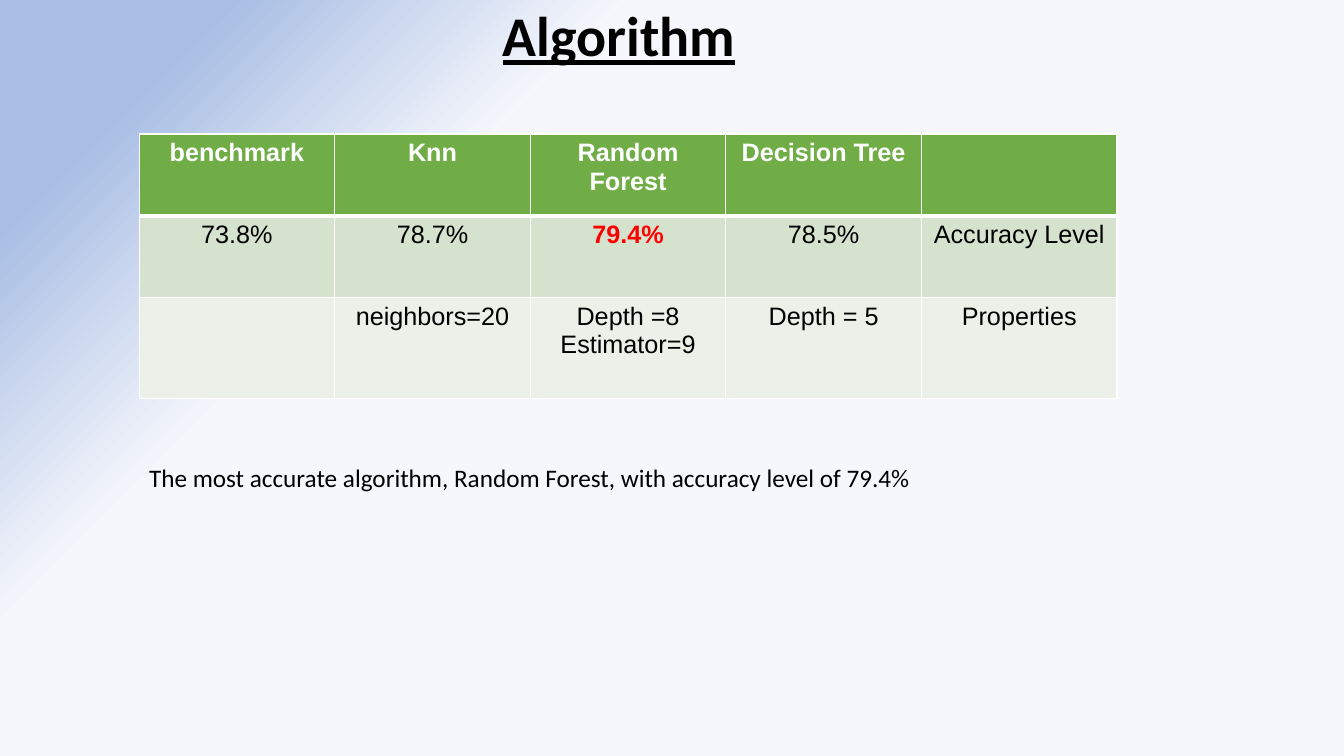
from lxml import etree
from pptx import Presentation
from pptx.dml.color import RGBColor
from pptx.enum.text import MSO_ANCHOR, PP_ALIGN
from pptx.oxml import parse_xml
from pptx.oxml.ns import nsdecls, qn
from pptx.util import Inches, Pt

COLORS = {
    "black": "000000",
    "white": "FFFFFF",
    "best": "FF0000",
    "header": "70AD47",
    "band": "D4E2CE",
    "light": "EBF1E8",
    "mist": "F5F7FC",
    "sky": "A9BEE4",
}
ROWS = [
    ["benchmark", "Knn", "Random Forest", "Decision Tree", ""],
    ["73.8%", "78.7%", "79.4%", "78.5%", "Accuracy Level"],
    ["", "neighbors=20", "Depth =8\nEstimator=9", "Depth = 5", "Properties"],
]
ROW_FILLS = ["header", "band", "light"]
ROW_HEIGHTS = [0.81, 0.81, 1.0]
COLUMN_WIDTH = 1.94
BEST_SCORE = "79.4%"


def rgb(name):
    return RGBColor.from_string(COLORS[name])


def style_font(font, face, size, color, bold=False):
    font.name = face
    font.size = Pt(size)
    font.bold = bold
    font.color.rgb = rgb(color)


def set_background(page):
    """Fill the page with a round gradient centred on the bottom right corner."""
    page.background.fill.gradient()
    old_fill = page.element.find(".//" + qn("a:gradFill"))
    stops = [(0, "mist", 100), (70, "mist", 100), (89, "sky", 100), (100, "sky", 38)]
    stop_xml = "".join(
        f'<a:gs pos="{position * 1000}"><a:srgbClr val="{COLORS[color]}">'
        f'<a:alpha val="{opacity * 1000}"/></a:srgbClr></a:gs>'
        for position, color, opacity in stops
    )
    new_fill = parse_xml(
        f'<a:gradFill {nsdecls("a")} rotWithShape="1"><a:gsLst>{stop_xml}</a:gsLst>'
        '<a:path path="circle"><a:fillToRect l="100000" t="100000"/></a:path>'
        "</a:gradFill>"
    )
    old_fill.getparent().replace(old_fill, new_fill)


def add_title(page, text):
    title = page.shapes.title
    title.left, title.top = Inches(3.1), Inches(-0.04)
    title.width, title.height = Inches(6.08), Inches(0.77)
    title.text_frame.text = text
    title.text_frame.vertical_anchor = MSO_ANCHOR.TOP
    para = title.text_frame.paragraphs[0]
    para.alignment = PP_ALIGN.CENTER
    style_font(para.font, "Calibri", 40, "black", bold=True)
    para.font.underline = True


def set_borders(cell, bottom_width):
    properties = cell._tc.get_or_add_tcPr()
    widths = {"lnL": 1, "lnR": 1, "lnT": 1, "lnB": bottom_width}
    for index, (side, width) in enumerate(widths.items()):
        line = etree.Element(qn(f"a:{side}"), w=str(Pt(width)))
        fill = etree.SubElement(line, qn("a:solidFill"))
        etree.SubElement(fill, qn("a:srgbClr"), val=COLORS["white"])
        properties.insert(index, line)


def fill_cell(cell, text, fill, is_header):
    cell.fill.solid()
    cell.fill.fore_color.rgb = rgb(fill)
    set_borders(cell, bottom_width=3 if is_header else 1)
    is_best = text == BEST_SCORE
    color = "white" if is_header else "best" if is_best else "black"
    cell.text = text
    for para in cell.text_frame.paragraphs:
        para.alignment = PP_ALIGN.CENTER
        style_font(para.font, "Arial", 18, color, bold=is_header or is_best)


def add_results_table(page):
    column_count = len(ROWS[0])
    table = page.shapes.add_table(
        len(ROWS), column_count, Inches(1.38), Inches(1.33),
        Inches(COLUMN_WIDTH * column_count), Inches(sum(ROW_HEIGHTS)),
    ).table
    for column in table.columns:
        column.width = Inches(COLUMN_WIDTH)
    for index, (texts, fill, height) in enumerate(zip(ROWS, ROW_FILLS, ROW_HEIGHTS)):
        table.rows[index].height = Inches(height)
        for cell, text in zip(table.rows[index].cells, texts):
            fill_cell(cell, text, fill, is_header=index == 0)


def add_conclusion(page, text):
    box = page.shapes.add_textbox(Inches(1.38), Inches(4.54), Inches(8.11), Inches(0.71))
    box.text_frame.word_wrap = True
    para = box.text_frame.paragraphs[0]
    para.text = text
    style_font(para.font, "Calibri", 18, "black")


def main():
    deck = Presentation()
    deck.slide_width, deck.slide_height = Inches(13.33), Inches(7.5)
    title_only = deck.slide_layouts[5]
    page = deck.slides.add_slide(title_only)
    set_background(page)
    add_title(page, "Algorithm")
    add_results_table(page)
    add_conclusion(
        page, "The most accurate algorithm, Random Forest, with accuracy level of 79.4%"
    )
    deck.save("out.pptx")


if __name__ == "__main__":
    main()
